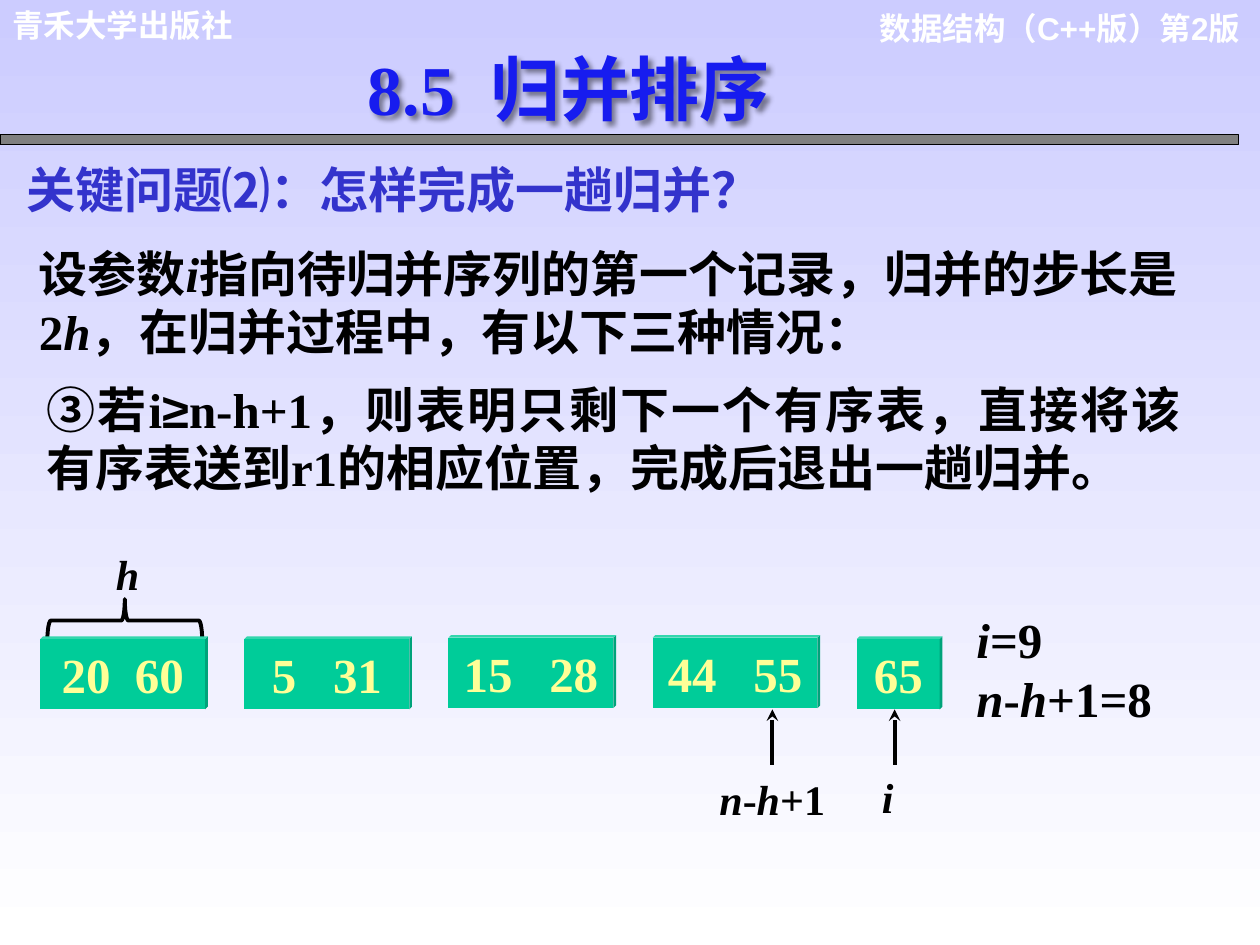
from pptx import Presentation
from pptx.dml.color import RGBColor
from pptx.enum import shapes, text
from pptx.oxml import parse_xml
from pptx.oxml.ns import nsdecls, qn
from pptx.util import Inches, Pt

COLORS = {
    "top": "CCCCFF", "base": "FFFFFF", "white": "FFFFFF", "black": "000000",
    "rule": "808080", "head": "3333CC", "title": "171CEF",
    "cube": "00CC99", "key": "FFFF97",
}
ARIAL, TIMES = "Arial", "Times New Roman"
LEFT, CENTER = text.PP_ALIGN.LEFT, text.PP_ALIGN.CENTER
KIND = shapes.MSO_SHAPE
ITALIC = {"italic": True}


def rgb(name):
    return RGBColor.from_string(COLORS[name])


def write(shape, lines, size=28, color="black", font=TIMES, align=LEFT, pad=True):
    """Fill a shape with lines; a run is a string or (string, overrides)."""
    frame = shape.text_frame
    frame.word_wrap = True
    if not pad:
        frame.margin_left = frame.margin_right = 0
        frame.margin_top = frame.margin_bottom = 0
    for row, line in enumerate(lines):
        para = frame.paragraphs[0] if row == 0 else frame.add_paragraph()
        para.alignment = align
        for part in line:
            words, style = (part, {}) if isinstance(part, str) else part
            run = para.add_run()
            run.text = words
            run.font.size = Pt(size)
            run.font.bold = True
            run.font.italic = style.get("italic", False)
            run.font.name = style.get("font", font)
            run.font.color.rgb = rgb(color)
            if "gap" in style:
                run.font._element.set("spc", str(style["gap"] * 100))


def label(slide, at, lines, **style):
    box = slide.shapes.add_textbox(*map(Inches, at))
    write(box, lines, **style)
    return box


def block(slide, kind, at, fill=None, line=None, adjust=()):
    shape = slide.shapes.add_shape(kind, *map(Inches, at))
    shape.shadow.inherit = False
    for spot, value in enumerate(adjust):
        shape.adjustments[spot] = value
    if fill:
        shape.fill.solid()
        shape.fill.fore_color.rgb = rgb(fill)
    else:
        shape.fill.background()
    if line:
        shape.line.color.rgb = rgb("black")
        shape.line.width = Pt(line)
    else:
        shape.line.fill.background()
    return shape


def cube(slide, left, top, width, nums, gap):
    shape = block(slide, KIND.CUBE, (left, top, width, 0.58), "cube", adjust=[0.037])
    shape.text_frame.vertical_anchor = text.MSO_ANCHOR.MIDDLE
    runs = [nums[0]]
    for num in nums[1:]:
        runs += [(" ", {"gap": gap}), num]
    write(shape, [runs], color="key", align=CENTER)


def arrow(slide, x):
    """Draw an upward pointer below the cubes."""
    line = slide.shapes.add_connector(
        shapes.MSO_CONNECTOR.STRAIGHT, *map(Inches, (x, 6.07, x, 5.63)))
    line.line.color.rgb = rgb("black")
    line.line.width = Pt(2.25)
    props = line._element.spPr
    props.find(qn("a:ln")).append(
        parse_xml(f'<a:tailEnd {nsdecls("a")} type="stealth"/>'))
    props.append(parse_xml(f'<a:effectLst {nsdecls("a")}/>'))


def shade(box):
    """Give the text of an unfilled box a soft shadow."""
    box._element.spPr.append(parse_xml(
        f'<a:effectLst {nsdecls("a")}><a:outerShdw blurRad="38100" dist="38100" '
        'dir="2700000"><a:srgbClr val="000000"><a:alpha val="43000"/></a:srgbClr>'
        '</a:outerShdw></a:effectLst>'))


def paint(slide):
    fill = slide.background.fill
    fill.gradient()
    fill.gradient_angle = 270
    for stop, name, place in zip(fill.gradient_stops, ("top", "base"), (0, 1)):
        stop.color.rgb = rgb(name)
        stop.position = place


def header(slide):
    style = {"size": 18, "color": "white", "font": ARIAL}
    label(slide, (6.77, 0.02, 3.17, 0.4), [["数据结构（C++版）第2版"]],
          align=text.PP_ALIGN.RIGHT, **style)
    label(slide, (0, 0, 2.71, 0.4), [["青禾大学出版社"]], **style)
    block(slide, KIND.RECTANGLE, (0, 1.07, 9.83, 0.08), "rule", 0.75)
    title = label(slide, (2.82, 0.31, 3.99, 0.77),
                  [["8.5", (" ", {"gap": 10}), "归并排序"]], size=40, color="title")
    shade(title)


def body(slide):
    label(slide, (0.11, 1.22, 9.61, 0.57), [["关键问题⑵：怎样完成一趟归并？"]],
          color="head", font=ARIAL)
    label(slide, (0.21, 1.88, 9.52, 1.03),
          [["设参数", ("i", ITALIC), "指向待归并序列的第一个记录，归并的步长是2",
            ("h", ITALIC), "，在归并过程中，有以下三种情况："]])
    label(slide, (0.27, 2.96, 9.2, 1.03),
          [["③若i", ("≥", {"font": ARIAL}),
            "n-h+1，则表明只剩下一个有序表，直接将该有序表送到r1的相应位置，完成后退出一趟归并。"]],
          align=text.PP_ALIGN.JUSTIFY)


def diagram(slide):
    limit = [("n", ITALIC), "-", ("h", ITALIC), "+1"]
    brace = block(slide, KIND.LEFT_BRACE, (0.82, 4.31, 0.34, 1.23),
                  line=2.25, adjust=[0.083, 0.5])
    brace.rotation = 90
    label(slide, (0.92, 4.35, 0.3, 0.4), [[("h", ITALIC)]], size=24, pad=False)

    lists = [(5.05, 1.33, ["20", "60"], 7), (5.05, 1.33, ["5", "31"], 14),
             (5.04, 1.33, ["15", "28"], 14), (5.04, 1.33, ["44", "55"], 14),
             (5.05, 0.68, ["65"], 0)]
    for col, (top, width, nums, gap) in enumerate(lists):
        cube(slide, 0.32 + 1.62 * col, top, width, nums, gap)

    marks = [(6.13, (5.71, 6.14, 1.13, 0.4), limit),
             (7.1, (7, 6.12, 0.2, 0.4), [("i", ITALIC)])]
    for x, at, runs in marks:
        arrow(slide, x)
        label(slide, at, [runs], size=24, pad=False)
    label(slide, (7.75, 4.84, 1.87, 0.93),
          [[("i", ITALIC), "=9"], limit + ["=8"]], pad=False)


def main():
    deck = Presentation()
    deck.slide_width, deck.slide_height = Inches(10), Inches(7.5)
    slide = deck.slides.add_slide(deck.slide_layouts[6])
    paint(slide)
    header(slide)
    body(slide)
    diagram(slide)
    deck.save("out.pptx")


if __name__ == "__main__":
    main()
